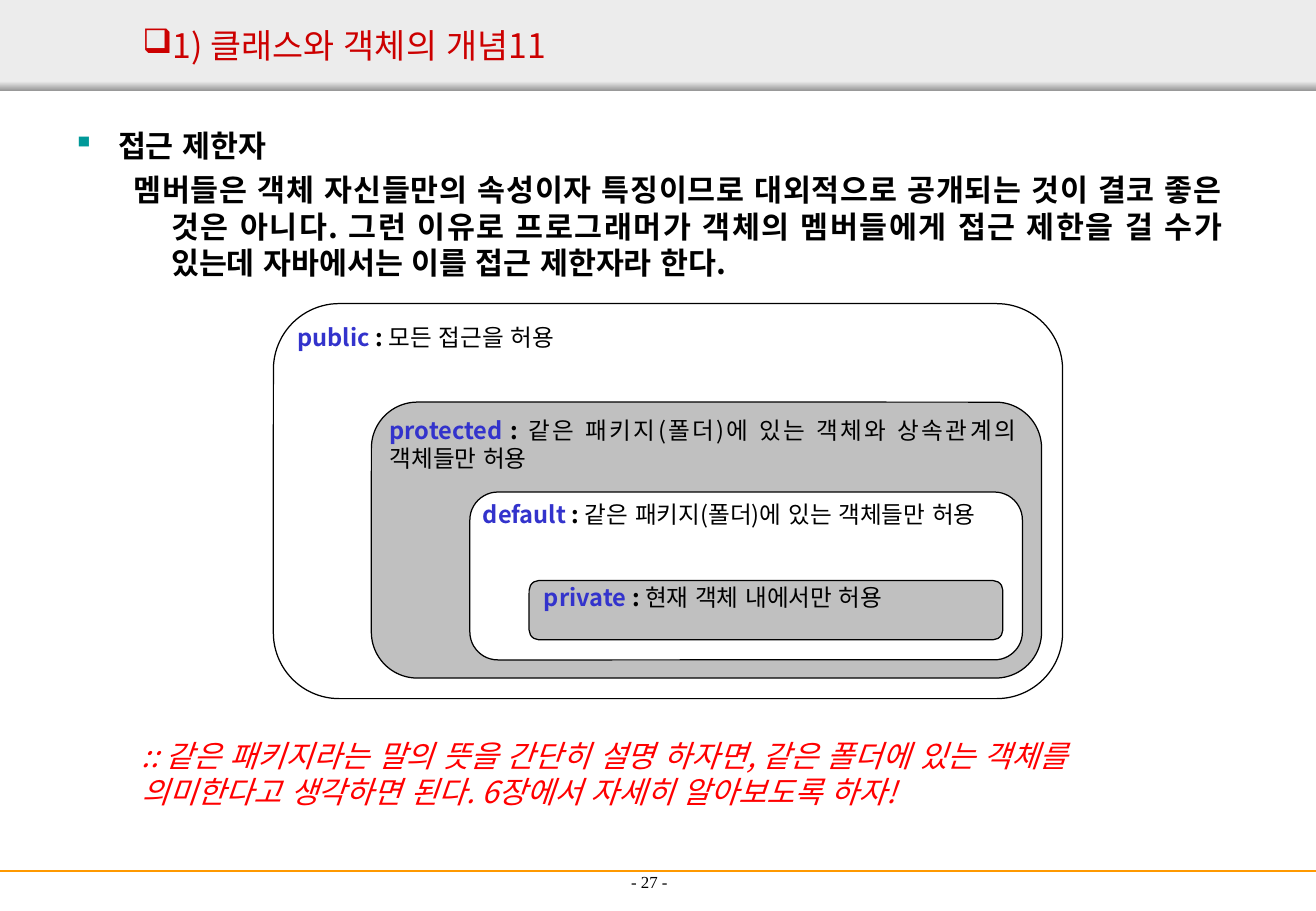
import pptx
import pptx.dml.color
import pptx.enum.lang
import pptx.enum.shapes
import pptx.enum.text
import pptx.oxml
import pptx.oxml.ns
import pptx.util

Cm, Pt = pptx.util.Cm, pptx.util.Pt
RGBColor = pptx.dml.color.RGBColor
SHAPE = pptx.enum.shapes.MSO_SHAPE
ALIGN = pptx.enum.text.PP_ALIGN
ANCHOR = pptx.enum.text.MSO_ANCHOR
qn = pptx.oxml.ns.qn

BLACK = RGBColor(0x00, 0x00, 0x00)
WHITE = RGBColor(0xFF, 0xFF, 0xFF)
SILVER = RGBColor(0xC0, 0xC0, 0xC0)
BAND = RGBColor(0xEC, 0xEC, 0xEC)
BAND_EDGE = RGBColor(0x97, 0x97, 0x97)
ORANGE = RGBColor(0xFF, 0x99, 0x00)
TITLE_RED = RGBColor(0xCC, 0x00, 0x00)
RED = RGBColor(0xFF, 0x00, 0x00)
BLUE = RGBColor(0x33, 0x33, 0xCC)
TEAL = RGBColor(0x00, 0x99, 0x99)

KOREAN_FONT = "Noto Sans CJK KR"
SERIF_FONT = "Times New Roman"
WIDTH, HEIGHT = 27.53, 19.05

# keyword, explanation, (left, top, width, height), left inset, fill
ACCESS_LEVELS = [
    ("public", "모든 접근을 허용", (5.72, 6.35, 16.51, 8.26), 0.1, WHITE),
    ("protected", "같은 패키지(폴더)에 있는 객체와 상속관계의 객체들만 허용",
     (7.77, 8.41, 14.02, 5.77), 0.1, SILVER),
    ("default", "같은 패키지(폴더)에 있는 객체들만 허용",
     (9.83, 10.29, 11.56, 3.51), 0.1, WHITE),
    ("private", "현재 객체 내에서만 허용", (11.07, 12.14, 9.91, 1.24), 0.25, SILVER),
]


class Slide:
    """Holds the slide being built and its text style."""

    def __init__(self, prs, font):
        self.s = prs.slides.add_slide(prs.slide_layouts[6])
        self.font = font

    def style(self, r, size, color, bold=False, italic=False, font=None):
        name = font or self.font
        f = r.font
        f.name, f.size, f.bold, f.italic = name, Pt(size), bold, italic
        f.color.rgb = color
        f.language_id = pptx.enum.lang.MSO_LANGUAGE_ID.KOREAN
        ea = pptx.oxml.parse_xml(
            f'<a:ea {pptx.oxml.ns.nsdecls("a")} typeface="{name}"/>')
        r._r.rPr.find(qn("a:latin")).addnext(ea)

    def indent(self, p, margin, first, bullet=None, color=None):
        pPr = p._p.get_or_add_pPr()
        pPr.set("marL", str(Cm(margin)))
        pPr.set("indent", str(Cm(first)))
        if bullet:
            ns = pptx.oxml.ns.nsdecls("a")
            pPr.append(pptx.oxml.parse_xml(
                f'<a:buClr {ns}><a:srgbClr val="{color}"/></a:buClr>'))
            pPr.append(pptx.oxml.parse_xml(f'<a:buChar {ns} char="{bullet}"/>'))

    def text(self, box, lines, size, color, align=ALIGN.LEFT,
             anchor=ANCHOR.TOP, **look):
        sp = self.s.shapes.add_textbox(*map(Cm, box))
        tf = sp.text_frame
        tf.word_wrap = True
        tf.vertical_anchor = anchor
        tf.text = "\n".join(lines)
        for p in tf.paragraphs:
            p.alignment = align
            self.style(p.runs[0], size, color, **look)
        return tf.paragraphs

    def shape(self, kind, box, fill, line=None):
        sp = self.s.shapes.add_shape(kind, *map(Cm, box))
        sp.shadow.inherit = False
        sp.fill.solid()
        sp.fill.fore_color.rgb = fill
        if line is None:
            sp.line.fill.background()
        else:
            sp.line.color.rgb = line
            sp.line.width = Pt(0.75)
        return sp

    def gradient(self, box, top, bottom):
        fill = self.shape(SHAPE.RECTANGLE, box, top).fill
        fill.gradient()
        fill.gradient_angle = 270
        for stop, position, color in zip(fill.gradient_stops, (0, 1), (top, bottom)):
            stop.position = position
            stop.color.rgb = color

    def rule(self, y, color, width):
        line = self.s.shapes.add_connector(
            pptx.enum.shapes.MSO_CONNECTOR.STRAIGHT, 0, Cm(y), Cm(WIDTH), Cm(y))
        line.line.color.rgb = color
        line.line.width = Pt(width)
        line._element.spPr.append(pptx.oxml.parse_xml(
            f'<a:effectLst {pptx.oxml.ns.nsdecls("a")}/>'))

    def access_level(self, keyword, meaning, box, inset, fill):
        sp = self.shape(SHAPE.ROUNDED_RECTANGLE, box, fill, BLACK)
        tf = sp.text_frame
        tf.word_wrap = True
        tf.vertical_anchor = ANCHOR.TOP
        tf.margin_left, tf.margin_top = Cm(inset), 0
        p = tf.paragraphs[0]
        p.alignment = ALIGN.JUSTIFY
        for part, color, bold in ((keyword, BLUE, True), (" : ", BLACK, True),
                                  (meaning, BLACK, False)):
            r = p.add_run()
            r.text = part
            self.style(r, 14, color, bold)


def main():
    prs = pptx.Presentation()
    prs.slide_width, prs.slide_height = Cm(WIDTH), Cm(HEIGHT)
    slide = Slide(prs, KOREAN_FONT)

    slide.shape(SHAPE.RECTANGLE, (0, 0, WIDTH, 1.9), BAND)
    slide.gradient((0, 1.7, WIDTH, 0.2), BAND, BAND_EDGE)
    slide.rule(18.21, ORANGE, 1.5)
    slide.text((9.37, 17.5, 8.43, 1.27), ["- 27 -"], 10, BLACK,
               ALIGN.CENTER, ANCHOR.BOTTOM, font=SERIF_FONT)

    title, = slide.text((1.37, 0.36, 24.77, 1.17), ["1) 클래스와 객체의 개념11"],
                        20, TITLE_RED, anchor=ANCHOR.MIDDLE)
    slide.indent(title, 1.98, -0.62, "❑", TITLE_RED)

    heading, body = slide.text((1.27, 2.54, 24.56, 4.01), [
        "접근 제한자",
        "멤버들은 객체 자신들만의 속성이자 특징이므로 대외적으로 공개되는 것이 결코 좋은 "
        "것은 아니다. 그런 이유로 프로그래머가 객체의 멤버들에게 접근 제한을 걸 수가 "
        "있는데 자바에서는 이를 접근 제한자라 한다.",
    ], 18, BLACK, ALIGN.JUSTIFY, bold=True)
    slide.indent(heading, 0.95, -0.95, "▪", TEAL)
    slide.indent(body, 2.06, -0.79)
    body.space_before = Pt(4.5)

    for level in ACCESS_LEVELS:
        slide.access_level(*level)

    slide.text((2.72, 15.29, 22.05, 1.78), [
        ":: 같은 패키지라는 말의 뜻을 간단히 설명 하자면, 같은 폴더에 있는 객체를 "
        "의미한다고 생각하면 된다. 6장에서 자세히 알아보도록 하자!",
    ], 18, RED, italic=True)

    prs.save("out.pptx")


if __name__ == "__main__":
    main()
